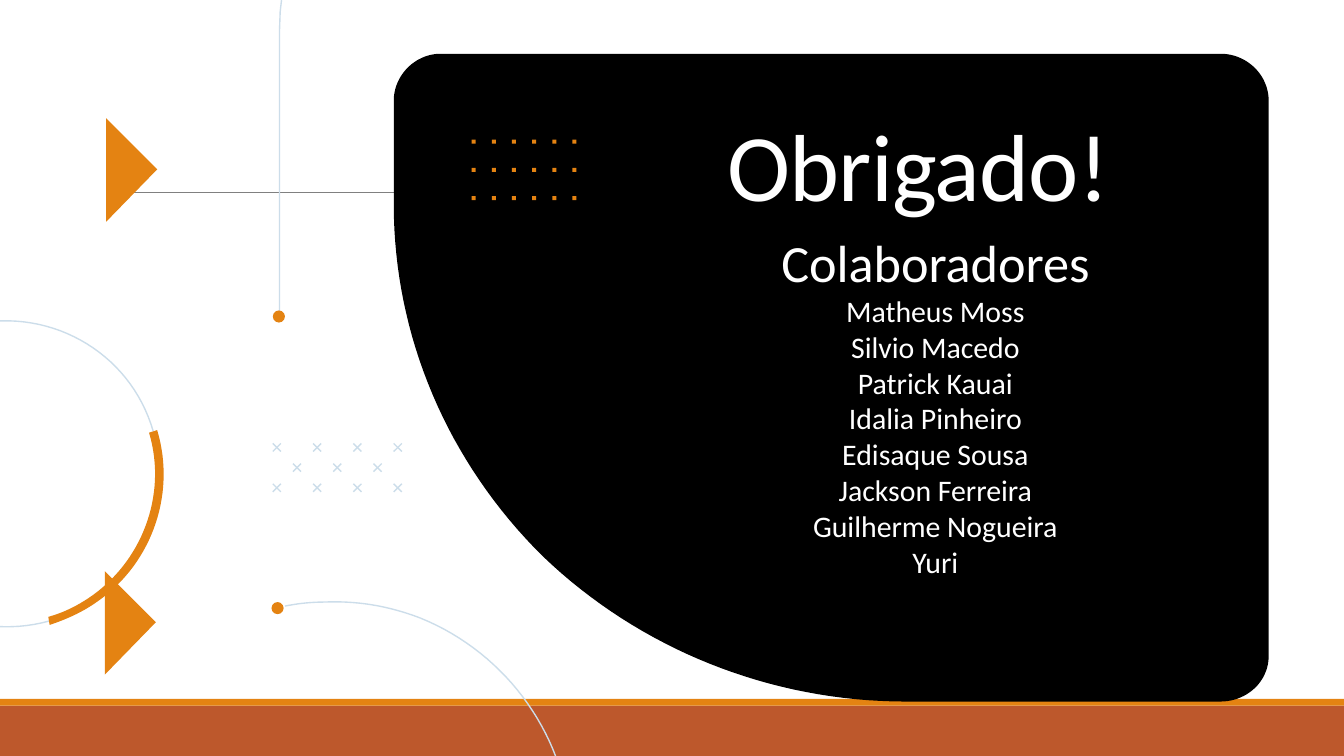
from lxml.etree import SubElement
from pptx import Presentation
from pptx.dml.color import RGBColor
from pptx.enum.shapes import MSO_CONNECTOR as Connector, MSO_SHAPE as Shape
from pptx.enum.text import MSO_ANCHOR as Anchor, MSO_AUTO_SIZE as AutoSize, PP_ALIGN as Align
from pptx.oxml.ns import qn
from pptx.util import Inches, Pt

THEME = {
    "font": "Calibri",
    "orange": RGBColor.from_string("E48312"),
    "rust": RGBColor.from_string("BD582C"),
    "pale": RGBColor.from_string("CCDDEA"),
    "grey": RGBColor.from_string("808080"),
    "black": RGBColor.from_string("000000"),
    "white": RGBColor.from_string("FFFFFF"),
    "title": Pt(51),
    "heading": Pt(28),
    "name": Pt(16),
    "thin": Pt(0.5),
    "stroke": Pt(0.75),
}

TITLE = "Obrigado!"
HEADING = "Colaboradores"
NAMES = [
    "Matheus Moss", "Silvio Macedo", "Patrick Kauai", "Idalia Pinheiro",
    "Edisaque Sousa", "Jackson Ferreira", "Guilherme Nogueira", "Yuri",
]

BANDS = [((0, 5.25, 10, 0.38), "rust"), ((0, 5.2, 10, 0.05), "orange")]
PANEL = [
    (9.08, 0.4), (9.28, 0.4, 9.44, 0.56, 9.44, 0.75), (9.44, 4.88),
    (9.44, 5.07, 9.28, 5.22, 9.08, 5.22), (6.74, 5.22),
    (5.73, 5.22, 4.76, 4.83, 4.04, 4.14), (3.33, 3.44, 2.93, 2.5, 2.93, 1.52),
    (2.93, 0.75), (2.93, 0.56, 3.09, 0.4, 3.28, 0.4),
]
ORANGE_ARC = [
    (1.11, 3.22), (1.17, 3.2), (1.32, 3.7, 1.11, 4.23, 0.69, 4.5),
    (0.6, 4.56, 0.49, 4.61, 0.37, 4.65), (0.36, 4.59),
    (0.47, 4.56, 0.57, 4.51, 0.66, 4.45), (1.05, 4.19, 1.25, 3.69, 1.11, 3.22),
]
TOP_CURVE = [(2.08, 2.36), (2.08, 0.23), (2.08, -1.3, 3.94, -2.54, 6.25, -2.54), (7.58, -2.54)]
LEFT_RING = [
    (1.14, 3.21), (0.97, 2.61, 0.34, 2.26, -0.27, 2.43),
    (-0.87, 2.61, -1.22, 3.24, -1.04, 3.84), (-0.87, 4.45, -0.24, 4.79, 0.37, 4.62),
]
BOTTOM_START = [(3.13, 4.6), (2.9, 4.51, 2.66, 4.47, 2.42, 4.48), (2.32, 4.48, 2.22, 4.49, 2.12, 4.51)]
BOTTOM_RING = [
    (0.69, 6.59), (0.85, 7.45, 1.6, 8.09, 2.5, 8.07),
    (3.49, 8.05, 4.27, 7.23, 4.25, 6.23), (4.24, 5.49, 3.77, 4.86, 3.13, 4.6),
]
CURVE_ENDS = [(2.03, 2.31), (2.02, 4.48)]
TRIANGLES = [(0.79, 0.88), (0.78, 4.25)]
CROSS_ROWS = [(2.03, 3.3, 4), (2.18, 3.45, 3), (2.03, 3.6, 4)]
CROSS_GAP, CROSS_SIZE = 0.3, 0.06
DOT_ORIGIN, DOT_GAPS, DOT_GRID, DOT_SIZE = (3.51, 1.04), (0.15, 0.21), (6, 3), 0.03
CURVE_STEPS = 32


def bezier(start, curve):
    x1, y1, x2, y2, x3, y3 = curve
    for step in range(1, CURVE_STEPS + 1):
        t = step / CURVE_STEPS
        u = 1 - t
        weights = (u ** 3, 3 * u * u * t, 3 * u * t * t, t ** 3)
        yield tuple(
            sum(weight * value for weight, value in zip(weights, axis))
            for axis in ((start[0], x1, x2, x3), (start[1], y1, y2, y3))
        )


def paint(shape, color):
    shape.shadow.inherit = False
    shape.fill.solid()
    shape.fill.fore_color.rgb = THEME[color]
    shape.line.fill.background()


def add_preset(page, preset, box, color):
    paint(page.shapes.add_shape(preset, *map(Inches, box)), color)


def add_outline(page, segments, color, closed=False):
    points = [segments[0]]
    for segment in segments[1:]:
        points.extend([segment] if len(segment) == 2 else bezier(points[-1], segment))
    points = [(Inches(x), Inches(y)) for x, y in points]
    builder = page.shapes.build_freeform(*points[0])
    builder.add_line_segments(points[1:], close=closed)
    shape = builder.convert_to_shape()
    if closed:
        paint(shape, color)
    else:
        shape.shadow.inherit = False
        shape.fill.background()
        shape.line.color.rgb = THEME[color]
        shape.line.width = THEME["stroke"]


def add_rule(page):
    rule = page.shapes.add_connector(
        Connector.STRAIGHT, *map(Inches, (0.98, 1.43, 9.15, 1.43)))
    rule.line.color.rgb = THEME["grey"]
    rule.line.width = THEME["thin"]
    SubElement(rule.element.spPr, qn("a:effectLst"))


def fill_placeholder(holder, box, lines, align, bottom):
    holder.element.getparent().append(holder.element)
    for name, value in zip(("left", "top", "width", "height"), box):
        setattr(holder, name, Inches(value))
    frame = holder.text_frame
    frame_format = {
        "word_wrap": True, "auto_size": AutoSize.NONE, "vertical_anchor": Anchor.TOP,
        "margin_left": Inches(0.1), "margin_right": Inches(0.1),
        "margin_top": Inches(0.1), "margin_bottom": Inches(bottom),
    }
    for name, value in frame_format.items():
        setattr(frame, name, value)
    for index, (text, size) in enumerate(lines):
        para = frame.add_paragraph() if index else frame.paragraphs[0]
        para_format = {
            "alignment": align, "line_spacing": 1.0, "space_before": Pt(0), "space_after": Pt(0),
        }
        for name, value in para_format.items():
            setattr(para, name, value)
        span = para.add_run()
        span.text = text
        font_format = {"name": THEME["font"], "size": THEME[size], "bold": False}
        for name, value in font_format.items():
            setattr(span.font, name, value)
        span.font.color.rgb = THEME["white"]


def main():
    deck = Presentation()
    deck.slide_width = Inches(10)
    deck.slide_height = deck.slide_width * 9 // 16
    page = deck.slides.add_slide(deck.slide_layouts[0])

    for box, color in BANDS:
        add_preset(page, Shape.RECTANGLE, box, color)
    add_rule(page)
    add_outline(page, PANEL, "black", closed=True)

    for left, top, count in CROSS_ROWS:
        for column in range(count):
            x = left + column * CROSS_GAP
            right, bottom = x + CROSS_SIZE, top + CROSS_SIZE
            add_outline(page, [(right, bottom), (x, top)], "pale")
            add_outline(page, [(right, top), (x, bottom)], "pale")

    for column in range(DOT_GRID[0]):
        for row in range(DOT_GRID[1]):
            x = DOT_ORIGIN[0] + column * DOT_GAPS[0]
            y = DOT_ORIGIN[1] + row * DOT_GAPS[1]
            add_preset(page, Shape.RECTANGLE, (x, y, DOT_SIZE, DOT_SIZE), "orange")

    title, subtitle = page.placeholders
    fill_placeholder(title, (5.31, 0.69, 4.04, 0.94), [(TITLE, "title")], Align.LEFT, 0.1)
    for properties in title.element.iter(qn("a:rPr")):
        properties.set("spc", "-40")
    people = [(HEADING, "heading")] + [(name, "name") for name in NAMES]
    fill_placeholder(subtitle, (5.37, 1.61, 3.18, 2.86), people, Align.CENTER, 0)

    for curve in (TOP_CURVE, LEFT_RING, BOTTOM_START, BOTTOM_RING):
        add_outline(page, curve, "pale")
    add_outline(page, ORANGE_ARC, "orange", closed=True)
    for x, y in CURVE_ENDS:
        add_preset(page, Shape.OVAL, (x, y, 0.09, 0.09), "orange")
    for x, y in TRIANGLES:
        add_outline(page, [(x, y), (x + 0.38, y + 0.38), (x, y + 0.77)], "orange", closed=True)

    deck.save("out.pptx")


if __name__ == "__main__":
    main()
